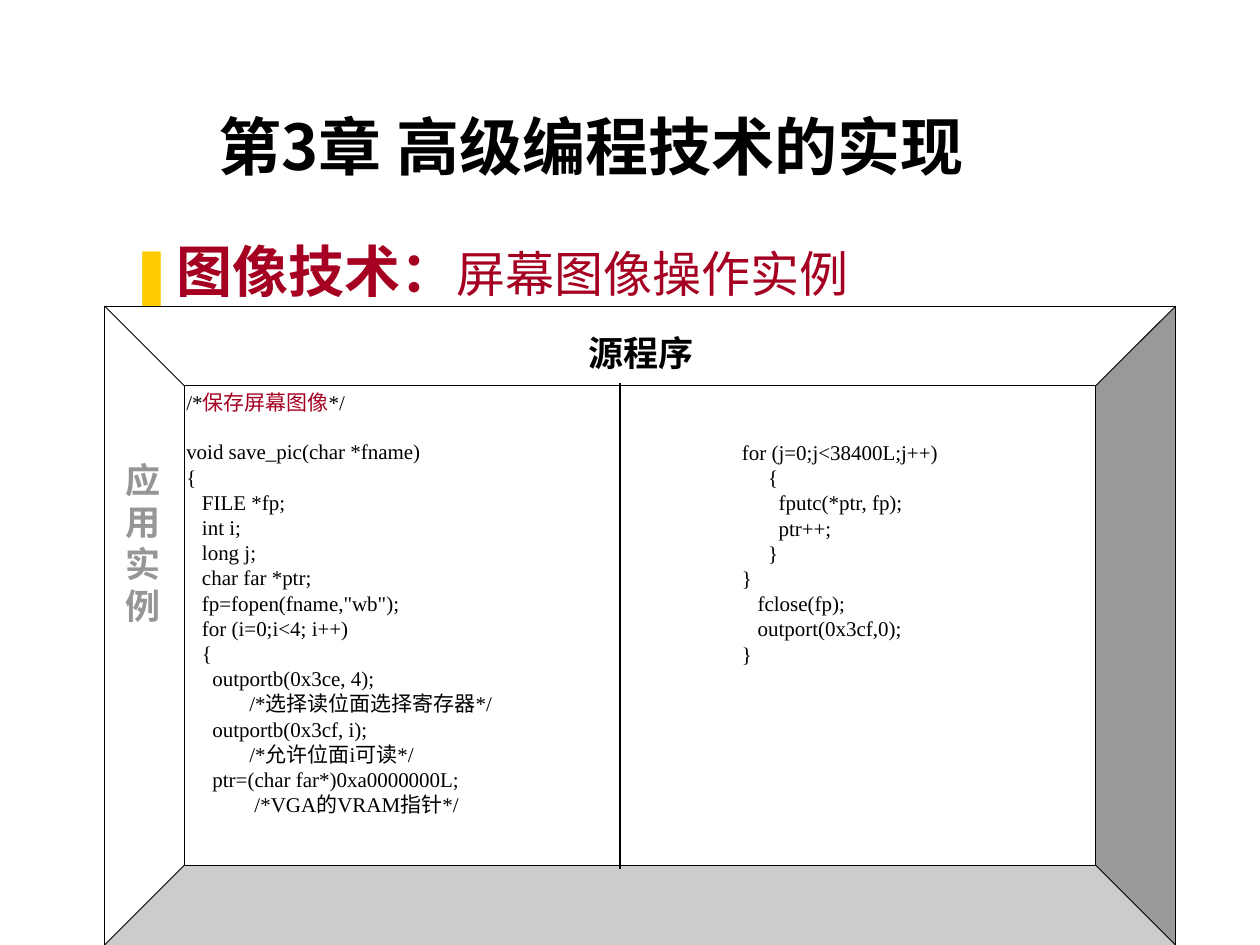
import pptx
import pptx.util
import pptx.dml.color
import pptx.enum.shapes
import pptx.enum.text
import pptx.oxml
import pptx.oxml.ns
from pptx.util import Inches

SERIF = "Times New Roman"
SANS = "Noto Sans CJK SC"
BLACK, RED, GRAY, GOLD = "000000", "A50021", "969696", "FFCC00"
ALIGN = pptx.enum.text.PP_ALIGN

LEFT_CODE = """void save_pic(char *fname)
{
   FILE *fp;
   int i;
   long j;
   char far *ptr;
   fp=fopen(fname,"wb");
   for (i=0;i<4; i++)
   {
     outportb(0x3ce, 4);
\t/*选择读位面选择寄存器*/
     outportb(0x3cf, i);
\t/*允许位面i可读*/
     ptr=(char far*)0xa0000000L;
\t /*VGA的VRAM指针*/"""

RIGHT_CODE = """for (j=0;j<38400L;j++)
     {
       fputc(*ptr, fp);
       ptr++;
     }
}
   fclose(fp);
   outport(0x3cf,0);
}"""


def rgb(color):
    return pptx.dml.color.RGBColor.from_string(color)


def add_xml(parent, tag, **attrs):
    el = pptx.oxml.parse_xml(f"<a:{tag} {pptx.oxml.ns.nsdecls('a')}/>")
    for name, value in attrs.items():
        el.set(name, value)
    parent.append(el)
    return el


def add_run(p, text, size, color=BLACK, font=SERIF, bold=False):
    r = p.add_run()
    r.text = text
    r.font.size = pptx.util.Pt(size)
    r.font.bold = bold
    r.font.color.rgb = rgb(color)
    r.font.name = font
    add_xml(r.font._element, "ea", typeface=SANS)


def add_box(slide, left, top, width, height):
    s = slide.shapes.add_textbox(left, top, width, height)
    s.text_frame.word_wrap = True
    return s.text_frame


def add_label(slide, box, text, size, color=BLACK, font=SERIF, align=ALIGN.LEFT):
    tf = add_box(slide, *box)
    p = tf.paragraphs[0]
    p.alignment = align
    add_run(p, text, size, color, font, bold=True)
    return tf


def add_topic(slide, left, top, width, height):
    p = add_box(slide, left, top, width, height).paragraphs[0]
    pPr = p._p.get_or_add_pPr()
    pPr.set("marL", str(Inches(0.38)))
    pPr.set("indent", str(-Inches(0.38)))
    add_xml(add_xml(pPr, "buClr"), "srgbClr", val=GOLD)
    add_xml(pPr, "buFont", typeface=SANS)
    add_xml(pPr, "buChar", char="❚")
    add_run(p, "图像技术：", 32, RED, bold=True)
    add_run(p, "屏幕图像操作实例", 28, RED, SANS)


def add_code(tf, code):
    """Fill the frame line by line, reusing its last paragraph while empty."""
    for line in code.split("\n"):
        p = tf.paragraphs[-1]
        if p.runs:
            p = tf.add_paragraph()
        # A tab character in run text stays a tab.
        add_run(p, line, 12)


def add_example_panel(slide, left, top, width, height):
    bevel = slide.shapes.add_shape(
        pptx.enum.shapes.MSO_SHAPE.BEVEL, left, top, width, height)
    bevel.shadow.inherit = False
    bevel.adjustments[0] = 0.125
    bevel.fill.solid()
    bevel.fill.fore_color.rgb = rgb("FFFFFF")
    bevel.line.color.rgb = rgb(BLACK)
    bevel.line.width = pptx.util.Pt(0.5)

    def inside(x, y, w, h):
        return left + Inches(x), top + Inches(y), Inches(w), Inches(h)

    add_label(slide, inside(0.07, 1.16, 0.43, 1.44), "应用实例", 20, GRAY)
    add_label(slide, inside(1.92, 0.15, 4.67, 0.44), "源程序", 20,
              align=ALIGN.CENTER)

    tf = add_box(slide, *inside(0.55, 0.61, 3.39, 3.7))
    p = tf.paragraphs[0]
    add_run(p, "/*", 12)
    add_run(p, "保存屏幕图像", 12, RED, SANS)
    add_run(p, "*/", 12)
    add_code(tf, LEFT_CODE)
    tf.paragraphs[1].space_before = pptx.util.Pt(14)
    add_code(add_box(slide, *inside(4.96, 1.01, 2.46, 1.9)), RIGHT_CODE)

    x, y, _, h = inside(4.09, 0.61, 0, 3.86)
    divider = slide.shapes.add_connector(
        pptx.enum.shapes.MSO_CONNECTOR.STRAIGHT, x, y, x, y + h)
    divider.line.color.rgb = rgb(BLACK)
    divider.line.width = pptx.util.Pt(0.75)
    add_xml(divider._element.spPr, "effectLst")


def main():
    prs = pptx.Presentation()
    prs.slide_width, prs.slide_height = Inches(10), Inches(7.5)
    slide = prs.slides.add_slide(prs.slide_layouts[6])
    title_box = Inches(0.44), Inches(0.25), Inches(8.5), Inches(1.25)
    title = add_label(slide, title_box, "第3章 高级编程技术的实现", 36,
                      font=SANS, align=ALIGN.CENTER)
    title.vertical_anchor = pptx.enum.text.MSO_ANCHOR.BOTTOM
    add_topic(slide, Inches(0.92), Inches(1.83), Inches(8.83), Inches(0.69))
    add_example_panel(slide, Inches(0.83), Inches(2.43), Inches(8.5), Inches(5.07))
    prs.save("out.pptx")


if __name__ == "__main__":
    main()
